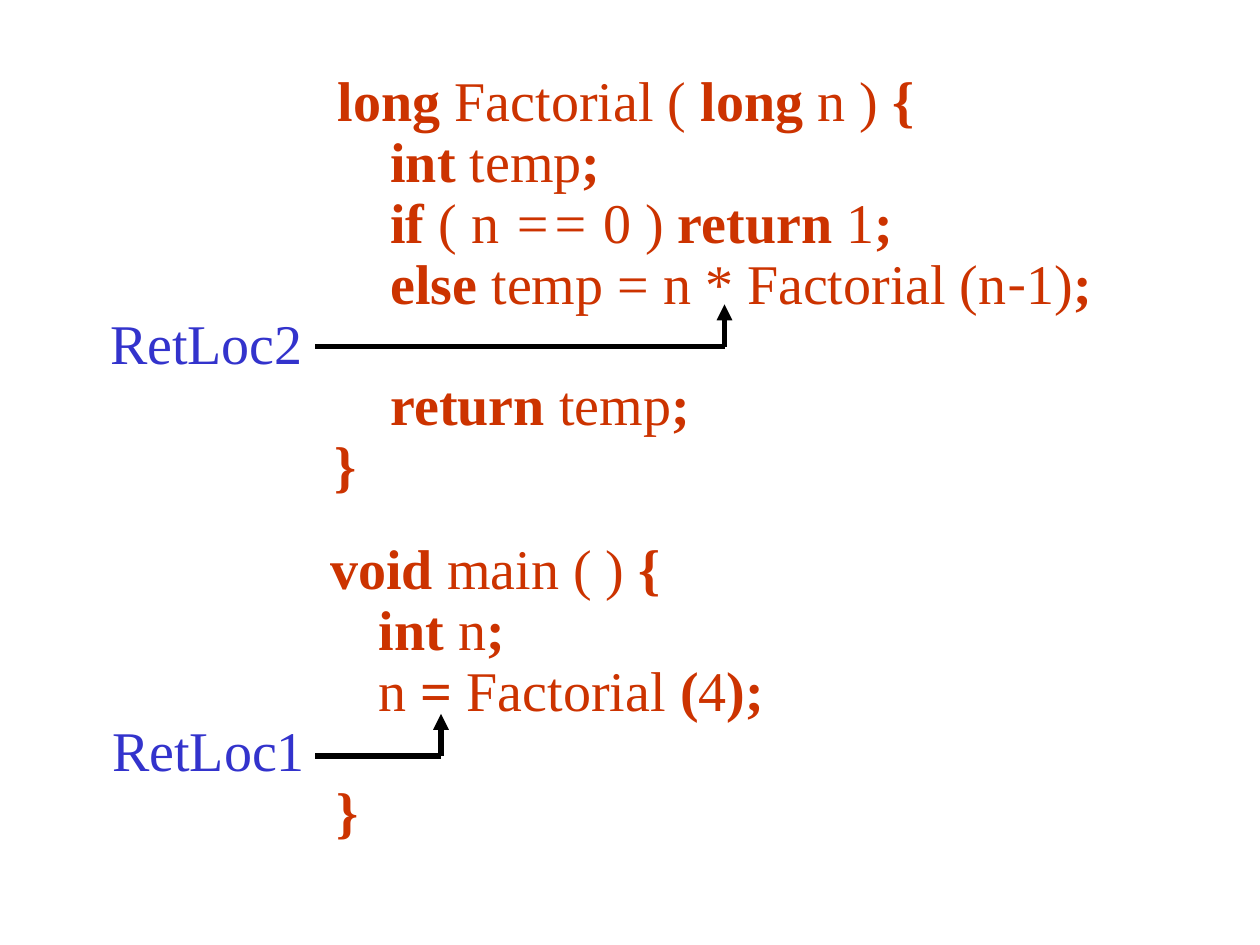
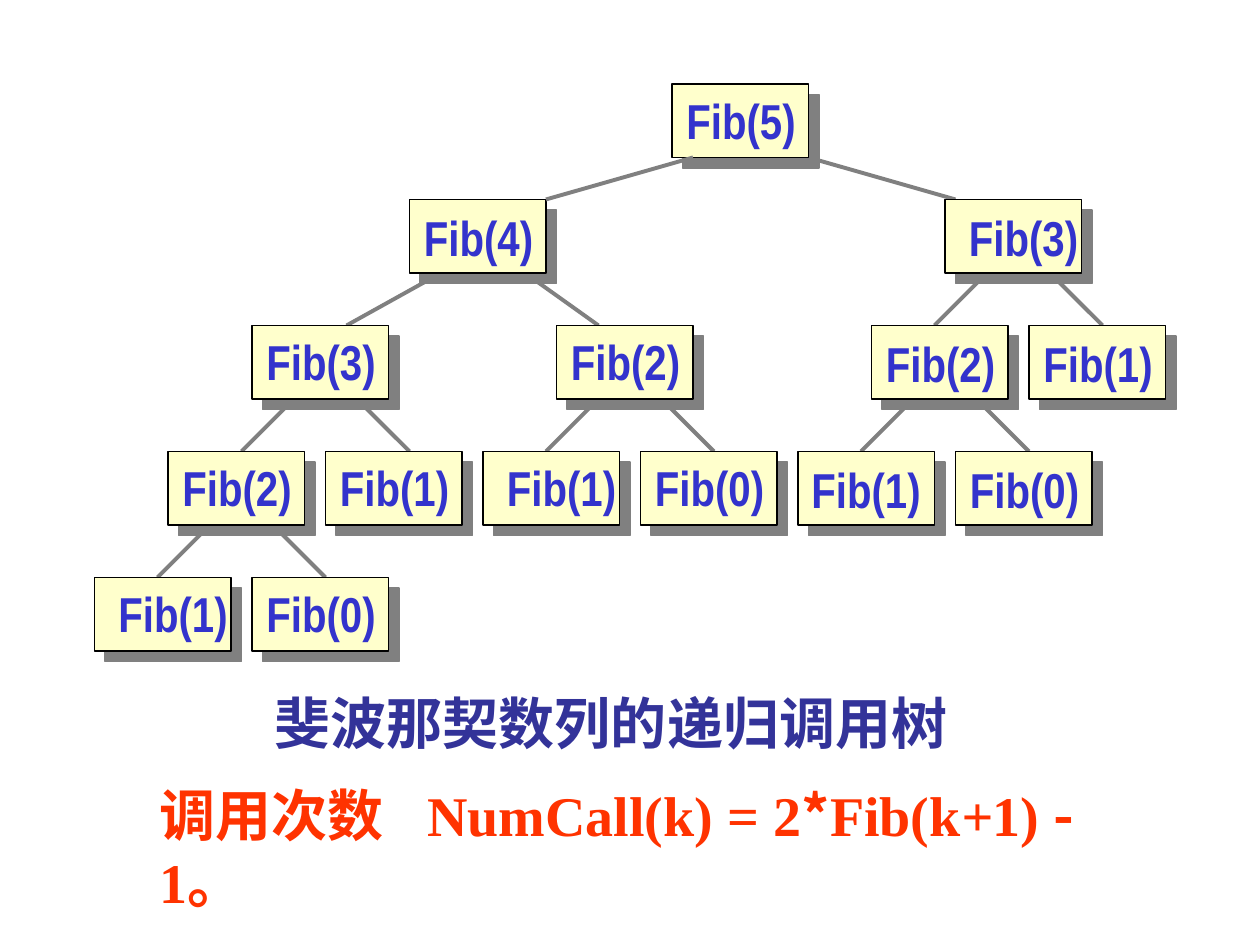
from lxml import etree
from pptx import Presentation
from pptx.dml.color import RGBColor
from pptx.enum.shapes import MSO_CONNECTOR, MSO_SHAPE
from pptx.oxml.ns import qn
from pptx.util import Emu, Pt

PX = 7620  # EMU per px, 120 px to the inch
LINE = MSO_CONNECTOR.STRAIGHT
RECT = MSO_SHAPE.RECTANGLE

CODE = RGBColor(0xCC, 0x33, 0x00)
BLUE = RGBColor(0x33, 0x33, 0xCC)
NAVY = RGBColor(0x33, 0x33, 0x99)
RED = RGBColor(0xFF, 0x33, 0x00)
CREAM = RGBColor(0xFF, 0xFF, 0xCC)
GRAY = RGBColor(0x80, 0x80, 0x80)
BLACK = RGBColor(0x00, 0x00, 0x00)
SERIF, SANS, NARROW = "Times New Roman", "Noto Sans CJK SC", "Arial Narrow"


def add_text(s, box, paragraphs, size=32, font=SERIF, spacing=None):
    """Each paragraph is (indent, colour, runs); run flags: b bold, i italic, s sans."""
    tf = s.shapes.add_textbox(*[Emu(v * PX) for v in box]).text_frame
    tf.word_wrap = True
    for i, (indent, color, runs) in enumerate(paragraphs):
        p = tf.paragraphs[0] if i == 0 else tf.add_paragraph()
        if spacing:
            p.line_spacing = Pt(spacing)
        if indent:
            p._p.get_or_add_pPr().set("marL", str(indent * PX))
        for text, flags in runs:
            r = p.add_run()
            r.text = text
            style = {"name": SANS if "s" in flags else font, "size": Pt(size),
                     "bold": "b" in flags, "italic": "i" in flags}
            for key, value in style.items():
                setattr(r.font, key, value)
            r.font.color.rgb = color
    return tf


def add_line(s, x1, y1, x2, y2, color, width):
    c = s.shapes.add_connector(LINE, *[Emu(v * PX) for v in (x1, y1, x2, y2)])
    c.line.color.rgb = color
    c.line.width = Pt(width)
    etree.SubElement(c._element.spPr, qn("a:effectLst"))
    return c


prs = Presentation()
prs.slide_width, prs.slide_height = Emu(1200 * PX), Emu(900 * PX)
blank = prs.slide_layouts[6]

# Slide 1: factorial code with return locations
s = prs.slides.add_slide(blank)
factorial = [
    (270, CODE, [("long", "b"), (" Factorial ( ", ""), ("long", "b"), (" n ) ", ""), ("{", "b")]),
    (320, CODE, [("int", "b"), (" temp", ""), (";", "b")]),
    (320, CODE, [("if", "b"), (" ( n", ""), (" ==", "i"), (" 0 ) ", ""),
                 ("return", "b"), (" 1", ""), (";", "b")]),
    (320, CODE, [("else", "b"), (" temp = n * Factorial (n", ""), ("-", "s"), ("1)", ""), (";", "b")]),
    (53, BLUE, [("RetLoc2", "")]),
    (320, CODE, [("return", "b"), (" temp", ""), (";", "b")]),
    (267, CODE, [("}", "b")]),
]
main_code = [
    (248, CODE, [("void ", "b"), ("main ( )", ""), (" {", "b")]),
    (294, CODE, [("int ", "b"), ("n", ""), (";", "b")]),
    (294, CODE, [("n", ""), (" = ", "b"), ("Factorial", ""), (" (", "b"), ("4", ""), (");", "b")]),
    (40, BLUE, [("RetLoc1", "")]),
    (254, CODE, [("}", "b")]),
]
add_text(s, (40, 63, 1060, 416), factorial, spacing=34.7)
add_text(s, (55, 509, 965, 300), main_code, spacing=34.6)

# Elbow arrows from each return location up to its call
for x, y in [(690, 330), (420, 720)]:
    add_line(s, 300, y, x, y, BLACK, 3)
    arrow = add_line(s, x, y, x, y - 40, BLACK, 3)
    etree.SubElement(arrow.line._get_or_add_ln(), qn("a:tailEnd"), type="triangle")

# Slide 2: Fibonacci call tree
s = prs.slides.add_slide(blank)
NODE_W, NODE_H = 130, 70
ROWS = [80, 190, 310, 430, 550]
# Row, left, argument, label offset
nodes = [
    (0, 640, 5, 2, 0),
    (1, 390, 4, 2, 2), (1, 900, 3, 11, 2),
    (2, 240, 3, 2, 0), (2, 530, 2, 2, 0), (2, 830, 2, 2, 2), (2, 980, 1, 2, 2),
    (3, 160, 2, 2, 0), (3, 310, 1, 2, 0), (3, 460, 1, 11, 0),
    (3, 610, 0, 2, 0), (3, 760, 1, 1, 2), (3, 910, 0, 2, 2),
    (4, 90, 1, 11, 0), (4, 240, 0, 2, 0),
]

# Branches behind the boxes: wide ones at the top, then even pairs
branches = [(0, 770, 910), (1, 420, 330), (1, 500, 570)]
for row, x in [(1, 900), (2, 240), (2, 530), (2, 830), (3, 160)]:
    branches += [(row, x + 40, x - 10), (row, x + 100, x + 150)]
for row, x1, x2 in branches:
    add_line(s, x1, ROWS[row] + NODE_H, x2, ROWS[row + 1], GRAY, 2.25)

# Captions
formula = [("调用次数", "b"), ("\t", "b"), ("NumCall(k) = 2", "b"), ("*", "bs"), ("Fib(k", "b"),
           ("+", "bi"), ("1) ", "b"), ("-", "bs"), (" 1", "b"), ("。", "bs")]
tf = add_text(s, (140, 737, 960, 84), [(0, RED, formula)])
tabs = etree.SubElement(tf.paragraphs[0]._p.get_or_add_pPr(), qn("a:tabLst"))
etree.SubElement(tabs, qn("a:tab"), pos=str(255 * PX), algn="l")
add_text(s, (250, 650, 900, 77), [(0, NAVY, [("斐波那契数列的递归调用树", "bs")])])

# Boxes with a hard drop shadow
for row, x, *_ in nodes:
    sp = s.shapes.add_shape(RECT, *[Emu(v * PX) for v in (x, ROWS[row], NODE_W, NODE_H)])
    sp.fill.solid()
    sp.fill.fore_color.rgb = CREAM
    sp.line.color.rgb = BLACK
    sp.line.width = Pt(0.75)
    sp.shadow.inherit = False
    effects = sp._element.spPr.find(qn("a:effectLst"))
    shadow = etree.SubElement(effects, qn("a:outerShdw"), dist=str(Pt(8.5)),
                              dir="2700000", algn="ctr", rotWithShape="0")
    etree.SubElement(shadow, qn("a:srgbClr"), val=str(GRAY))

# The root's left branch lies over its shadow
add_line(s, 660, ROWS[0] + NODE_H, 520, ROWS[1], GRAY, 2.25)

# Labels
for row, x, k, dx, dy in nodes:
    add_text(s, (x + dx, ROWS[row] + dy, 135, 68), [(0, BLUE, [(f"Fib({k})", "b")])],
             size=28, font=NARROW)

prs.save("out.pptx")
